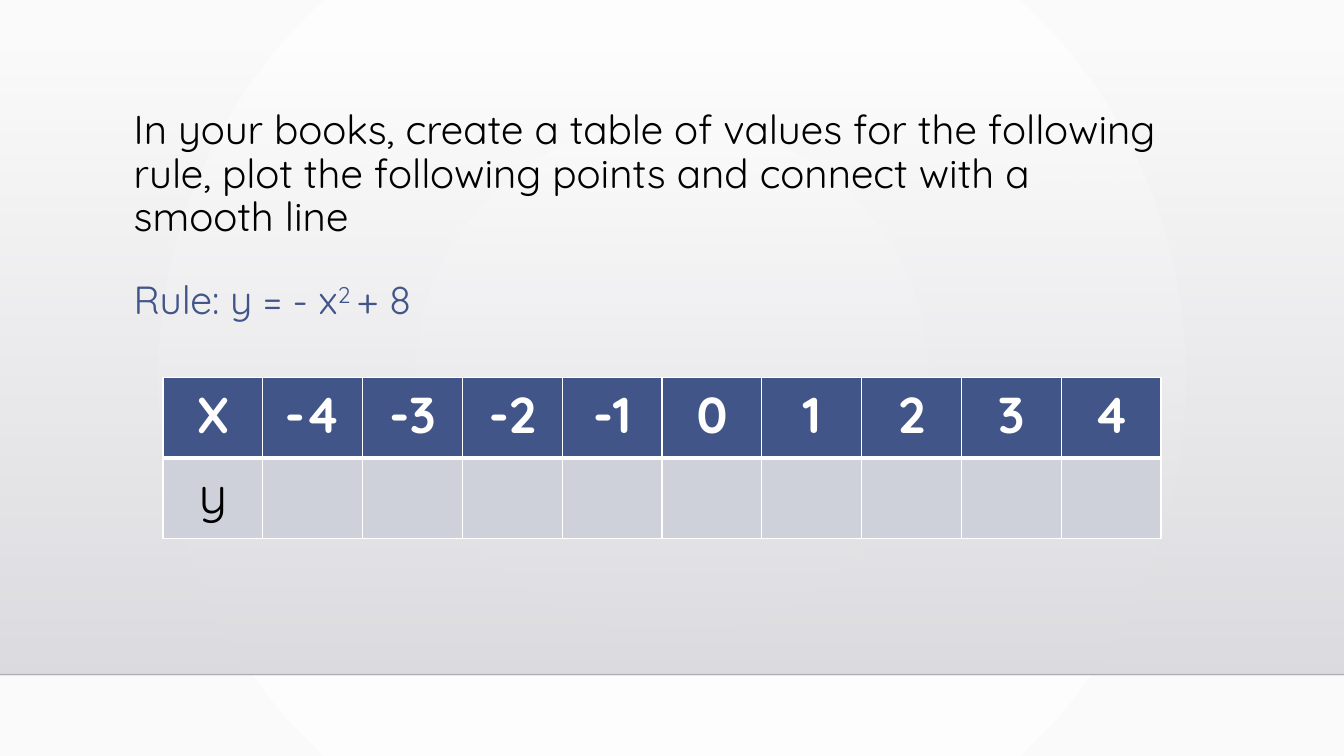
from lxml import etree
from pptx import Presentation
from pptx import util as u
from pptx.dml.color import RGBColor
from pptx.enum import shapes, text
from pptx.oxml.ns import qn

COLOURS = {
    "white": "FFFFFF", "paper": "FAFAFA", "mist": "DCDCE0", "mist_end": "DEDEE2",
    "black": "000000", "blue": "415588", "cell": "CFD1DA", "edge": "000001",
}
FONT = "Quicksand"


def rgb(name):
    return RGBColor.from_string(COLOURS[name])


def add_span(para, words, size, colour, bold=False):
    span = para.add_run()
    span.text = words
    span.font.name = FONT
    span.font.size = u.Pt(size)
    span.font.bold = bold
    span.font.color.rgb = rgb(colour)
    return span


deck = Presentation()
deck.slide_width, deck.slide_height = u.Cm(33.87), u.Cm(19.05)
page = deck.slides.add_slide(deck.slide_layouts[6])

# Radial background
backdrop = page.background.fill
backdrop.gradient()
for stop, name in zip(backdrop.gradient_stops, ("white", "paper")):
    stop.color.rgb = rgb(name)
gradient = page.element.find(".//" + qn("a:gradFill"))
gradient.remove(gradient.find(qn("a:lin")))
circle = etree.SubElement(gradient, qn("a:path"), path="circle")
etree.SubElement(circle, qn("a:fillToRect"), l="50000", t="50000", r="50000", b="50000")

# Panel that fades in from the top, with a thin line along its foot
panel = page.shapes.add_shape(
    shapes.MSO_SHAPE.RECTANGLE, 0, u.Cm(1.3), deck.slide_width, u.Cm(15.7))
panel.shadow.inherit = False
panel.line.fill.background()
panel.fill.gradient()
panel.fill.gradient_angle = 270
for stop, name in zip(panel.fill.gradient_stops, ("mist", "mist_end")):
    stop.color.rgb = rgb(name)
clear = panel.element.spPr.find(".//" + qn("a:srgbClr"))
etree.SubElement(clear, qn("a:alpha"), val="0")

edge = page.shapes.add_connector(
    shapes.MSO_CONNECTOR.STRAIGHT, 0, u.Cm(17), deck.slide_width, u.Cm(17))
edge.line.width = u.Pt(1)
edge.line.color.rgb = rgb("edge")
etree.SubElement(edge.element.spPr.find(".//" + qn("a:srgbClr")), qn("a:alpha"), val="20000")
etree.SubElement(edge.element.spPr, qn("a:effectLst"))

# Task and rule
task = page.shapes.add_textbox(u.Cm(3.12), u.Cm(2.64), u.Cm(26.7), u.Cm(2.95))
task.text_frame.word_wrap = True
para = task.text_frame.paragraphs[0]
para.line_spacing = 0.9
add_span(para, "In your books, create a table of values for the following rule, "
         "plot the following points and connect with a smooth line", 28.8, "black")

rule = page.shapes.add_textbox(u.Cm(3.12), u.Cm(6.02), u.Cm(12.9), u.Cm(2.24))
rule.text_frame.word_wrap = True
rule.text_frame.vertical_anchor = text.MSO_ANCHOR.BOTTOM
para = rule.text_frame.paragraphs[0]
for words, baseline in (("Rule: y = - x", 0), ("2 ", 30000), ("+ 8", 0)):
    span = add_span(para, words, 28, "blue")
    if baseline:
        span.font._element.set("baseline", str(baseline))

# Table of values
rows = [["X", *(str(x) for x in range(-4, 5))], ["y"] + [""] * 9]
styles = [
    {"fill": "blue", "font": "white", "bold": True, "top": 1, "bottom": 3},
    {"fill": "cell", "font": "black", "bold": False, "top": 3, "bottom": 1},
]
table = page.shapes.add_table(
    2, 10, u.Cm(4.11), u.Cm(9.52), u.Cm(25.15), u.Cm(4.04)).table
for column in table.columns:
    column.width = u.Cm(2.515)
for row, (values, style) in enumerate(zip(rows, styles)):
    table.rows[row].height = u.Cm(2.02)
    for col, value in enumerate(values):
        cell = table.cell(row, col)
        cell.fill.solid()
        cell.fill.fore_color.rgb = rgb(style["fill"])
        para = cell.text_frame.paragraphs[0]
        para.alignment = text.PP_ALIGN.CENTER
        para.font.size = u.Pt(36)
        if value:
            add_span(para, value, 36, style["font"], style["bold"])
        borders = {"lnL": 1, "lnR": 1, "lnT": style["top"], "lnB": style["bottom"]}
        props = cell._tc.get_or_add_tcPr()
        for place, (side, width) in enumerate(borders.items()):
            border = etree.Element(qn("a:" + side), w=str(u.Pt(width)))
            solid = etree.SubElement(border, qn("a:solidFill"))
            etree.SubElement(solid, qn("a:srgbClr"), val=COLOURS["white"])
            props.insert(place, border)

deck.save("out.pptx")
